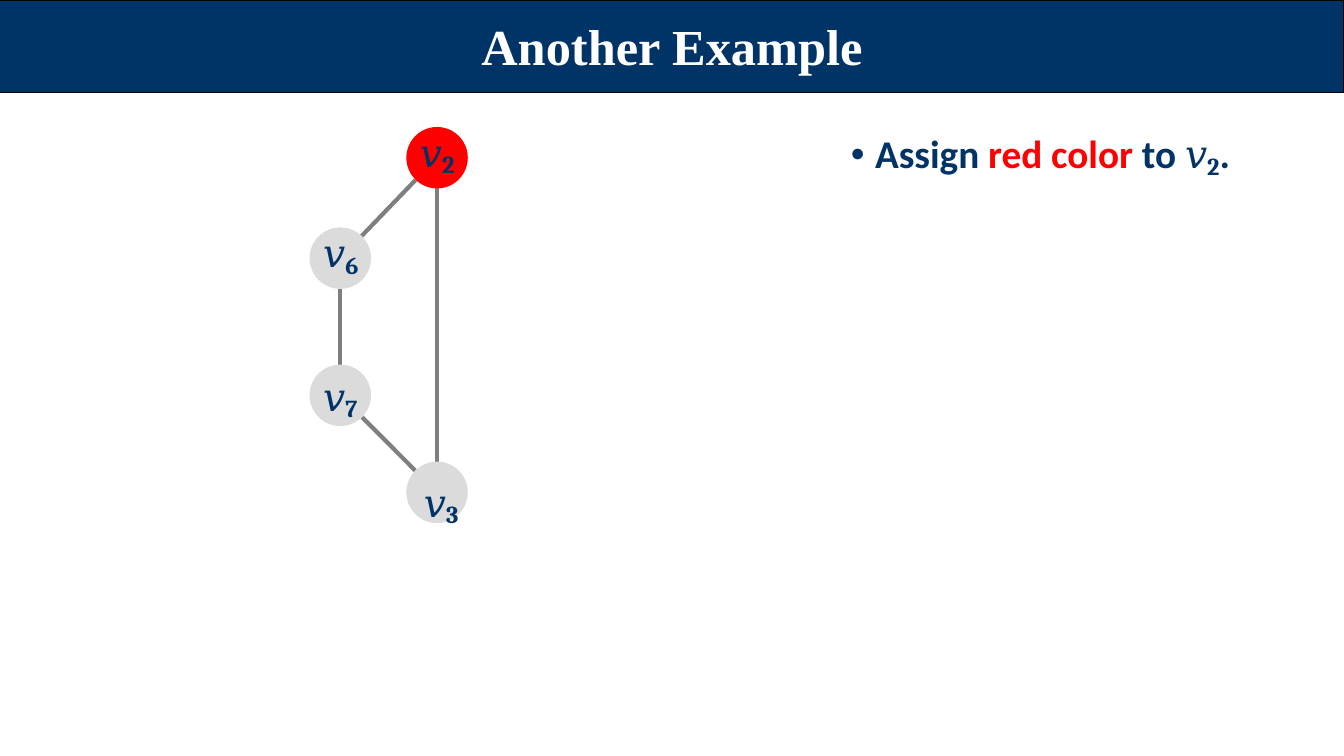
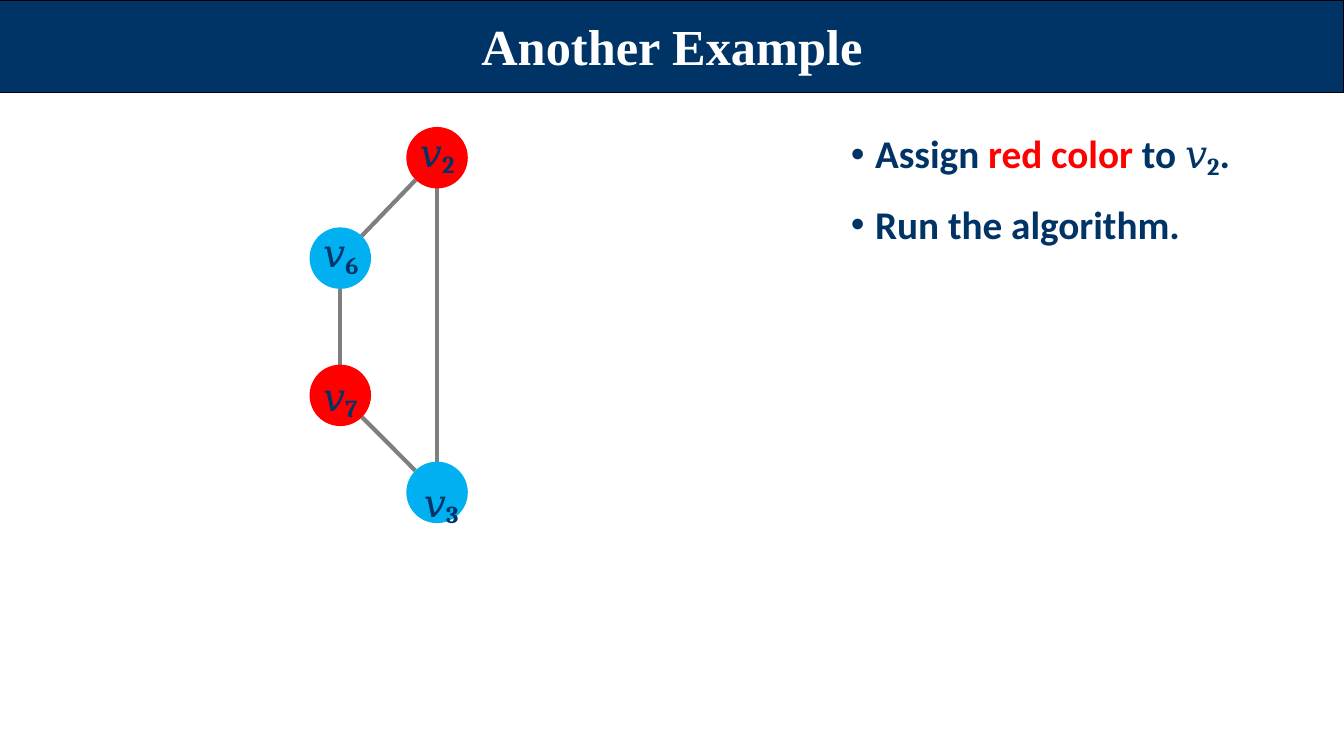
import math

import pptx
import pptx.dml.color
import pptx.enum.shapes
import pptx.enum.text
import pptx.oxml.ns
import pptx.util
from lxml import etree

Inches = pptx.util.Inches
Pt = pptx.util.Pt

SLIDE_WIDTH, SLIDE_HEIGHT = 13.33, 7.5
COLORS = {
    "navy": "003366",
    "white": "FFFFFF",
    "black": "000000",
    "red": "FF0000",
    "blue": "00B0F0",
    "uncolored": "DBDBDB",
    "edge": "7F7F7F",
}

BAND_BOX = (0, 0, SLIDE_WIDTH, 0.92)
TITLE_BOX = (4.47, 0.13, 4.39, 0.63)
GRAPH_BOX = (3.07, 1.26, 1.57, 3.93)
STEPS_BOX = (8.4, 1.25, 3.9, 1.3)

NODE_DIAMETER = 0.61
LABEL_SIZE = (0.45, 0.49)
# Vertex: (column share, row share, label offset from the node centre)
VERTICES = {
    "2": (1, 0, (-0.17, -0.33)),
    "6": (0, 0.3, (-0.17, -0.33)),
    "7": (0, 0.71, (-0.17, -0.27)),
    "3": (1, 1, (-0.13, -0.18)),
}
EDGES = [("2", "6"), ("6", "7"), ("7", "3"), ("3", "2")]


def rgb(name):
    return pptx.dml.color.RGBColor.from_string(COLORS[name])


def inches(*lengths):
    return [Inches(length) for length in lengths]


def add_text(paragraph, text, font="Calibri", size=28, color="navy", subscript=False):
    run = paragraph.add_run()
    run.text = text
    run.font.name = font
    run.font.size = Pt(size)
    run.font.bold = True
    run.font.color.rgb = rgb(color)
    if subscript:
        run.font._element.set("baseline", "-15000")


def add_vertex_name(paragraph, number):
    add_text(paragraph, "𝑣", font="Cambria")
    add_text(paragraph, number, font="Cambria", size=30, subscript=True)


def prepare_frame(shape, anchor=pptx.enum.text.MSO_ANCHOR.TOP):
    """Give the shape's text frame the margins that all text shares."""
    frame = shape.text_frame
    frame.word_wrap = True
    frame.auto_size = pptx.enum.text.MSO_AUTO_SIZE.NONE
    frame.vertical_anchor = anchor
    frame.margin_left = frame.margin_right = frame.margin_bottom = 0
    frame.margin_top = Inches(0.01)
    return frame


def place(shape, box):
    shape.left, shape.top, shape.width, shape.height = inches(*box)


def move_band_to_master(presentation, slide):
    """Draw the title band on a slide, then hand it to the master."""
    band = slide.shapes.add_shape(
        pptx.enum.shapes.MSO_SHAPE.RECTANGLE, *inches(*BAND_BOX))
    band.shadow.inherit = False
    band.fill.solid()
    band.fill.fore_color.rgb = rgb("navy")
    band.line.color.rgb = rgb("black")
    band.line.width = Pt(0.75)
    band.element.xpath("./p:nvSpPr/p:cNvPr")[0].set("id", "100")
    presentation.slide_master.shapes.element.insert(2, band.element)


def fill_title(slide, text):
    title = slide.shapes.title
    place(title, TITLE_BOX)
    paragraph = prepare_frame(title, pptx.enum.text.MSO_ANCHOR.MIDDLE).paragraphs[0]
    paragraph.alignment = pptx.enum.text.PP_ALIGN.CENTER
    add_text(paragraph, text, font="Times New Roman", size=36, color="white")


def set_bullet(paragraph, margin=0.28, hanging=0.24):
    properties = paragraph._p.get_or_add_pPr()
    properties.set("marL", str(Inches(margin)))
    properties.set("indent", str(-Inches(hanging)))
    qn = pptx.oxml.ns.qn
    etree.SubElement(properties, qn("a:buFont")).set("typeface", "Arial")
    etree.SubElement(properties, qn("a:buChar")).set("char", "•")


def write_color_step(paragraph):
    add_text(paragraph, "Assign ")
    add_text(paragraph, "red color ", color="red")
    add_text(paragraph, "to ")
    add_vertex_name(paragraph, "2")
    add_text(paragraph, ".")


def write_run_step(paragraph):
    add_text(paragraph, "Run the algorithm.")


def fill_steps(slide, box, steps):
    body = slide.placeholders[1]
    place(body, box)
    frame = prepare_frame(body)
    for index, write_step in enumerate(steps):
        paragraph = frame.add_paragraph() if index else frame.paragraphs[0]
        paragraph.space_before = Pt(14.4)
        set_bullet(paragraph)
        write_step(paragraph)


def add_edge(slide, start, end):
    """Join two node centres, stopping at the rim of each node."""
    (x1, y1), (x2, y2) = start, end
    share = NODE_DIAMETER / 2 / math.dist(start, end)
    dx, dy = (x2 - x1) * share, (y2 - y1) * share
    connector = slide.shapes.add_connector(
        pptx.enum.shapes.MSO_CONNECTOR.STRAIGHT,
        *inches(x1 + dx, y1 + dy, x2 - dx, y2 - dy))
    connector.line.color.rgb = rgb("edge")
    connector.line.width = Pt(3)
    etree.SubElement(connector.element.spPr, pptx.oxml.ns.qn("a:effectLst"))


def add_node(slide, center, color):
    radius = NODE_DIAMETER / 2
    node = slide.shapes.add_shape(
        pptx.enum.shapes.MSO_SHAPE.OVAL,
        *inches(center[0] - radius, center[1] - radius, NODE_DIAMETER, NODE_DIAMETER))
    node.shadow.inherit = False
    node.fill.solid()
    node.fill.fore_color.rgb = rgb(color)
    node.line.fill.background()


def add_label(slide, center, offset, number):
    label = slide.shapes.add_textbox(
        *inches(center[0] + offset[0], center[1] + offset[1], *LABEL_SIZE))
    add_vertex_name(prepare_frame(label).paragraphs[0], number)


def add_graph(slide, box, node_colors):
    left, top, width, height = box
    radius = NODE_DIAMETER / 2
    centers = {
        number: (left + radius + column * (width - NODE_DIAMETER),
                 top + radius + row * (height - NODE_DIAMETER))
        for number, (column, row, _) in VERTICES.items()
    }
    for start, end in EDGES:
        add_edge(slide, centers[start], centers[end])
    for number, (_, _, offset) in VERTICES.items():
        add_node(slide, centers[number], node_colors.get(number, "uncolored"))
        add_label(slide, centers[number], offset, number)


def add_example_slide(presentation, node_colors, steps):
    slide = presentation.slides.add_slide(presentation.slide_layouts[1])
    fill_title(slide, "Another Example")
    fill_steps(slide, STEPS_BOX, steps)
    add_graph(slide, GRAPH_BOX, node_colors)
    return slide


def main():
    presentation = pptx.Presentation()
    presentation.slide_width, presentation.slide_height = inches(SLIDE_WIDTH, SLIDE_HEIGHT)
    first_slide = add_example_slide(presentation, {"2": "red"}, [write_color_step])
    add_example_slide(
        presentation,
        {"2": "red", "6": "blue", "7": "red", "3": "blue"},
        [write_color_step, write_run_step])
    move_band_to_master(presentation, first_slide)
    presentation.save("out.pptx")


if __name__ == "__main__":
    main()
